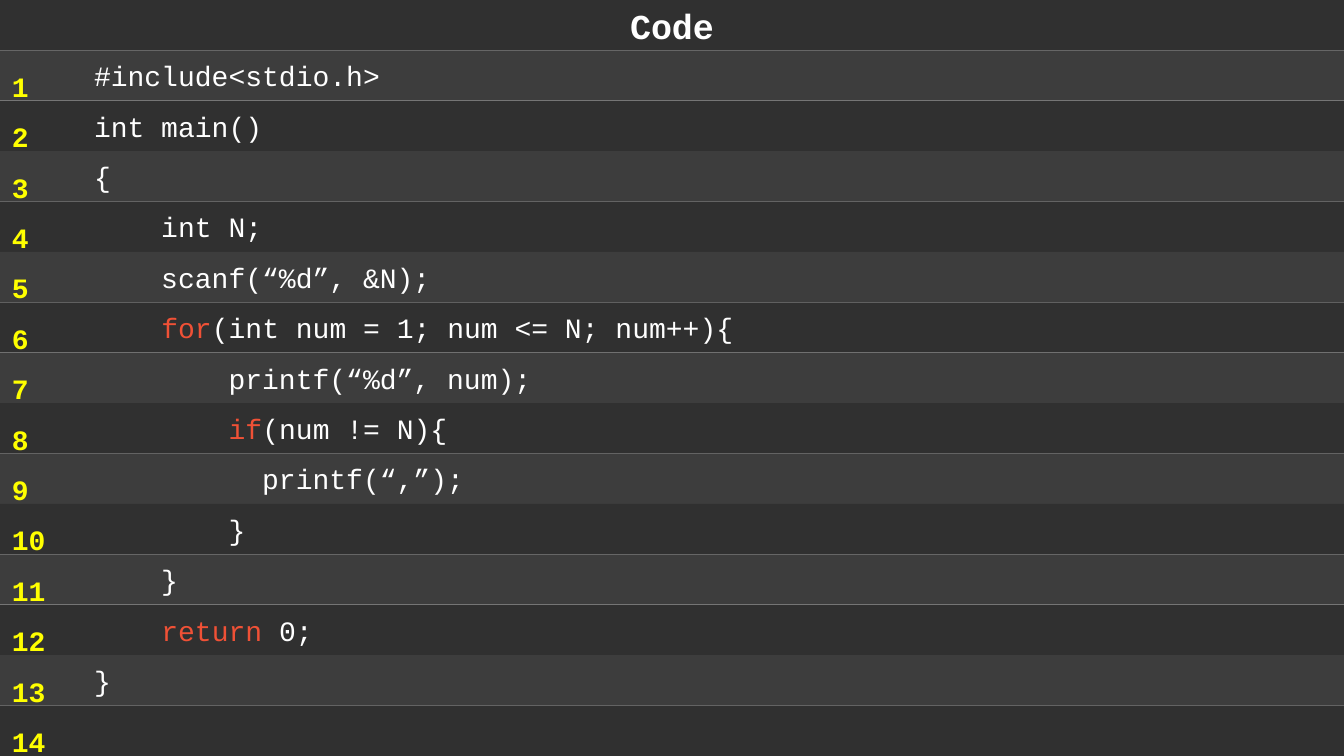
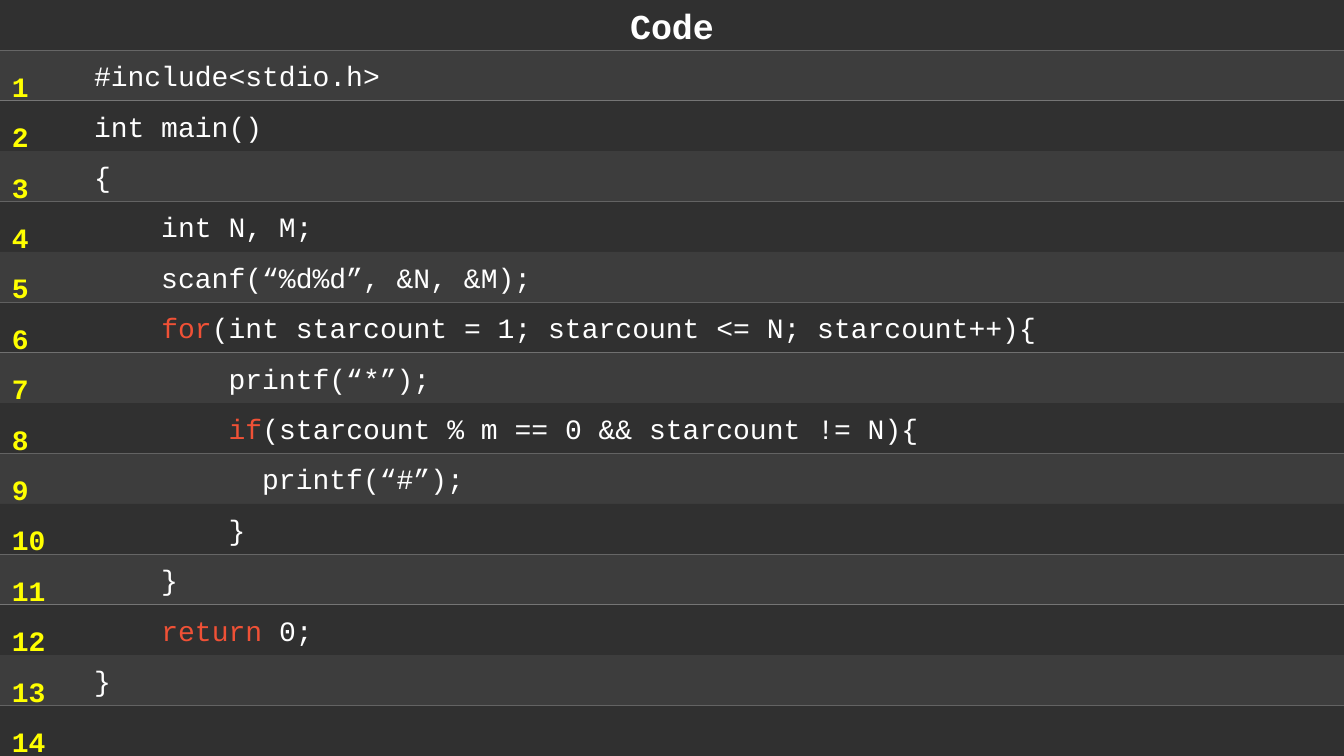
from pptx import Presentation
from pptx.dml.color import RGBColor
from pptx.enum.shapes import MSO_SHAPE
from pptx.enum.text import MSO_ANCHOR, MSO_AUTO_SIZE, PP_ALIGN
from pptx.util import Cm, Pt

RECTANGLE = MSO_SHAPE.RECTANGLE
MIDDLE = MSO_ANCHOR.MIDDLE
NO_AUTOFIT = MSO_AUTO_SIZE.NONE
LEFT, CENTER = PP_ALIGN.LEFT, PP_ALIGN.CENTER

TITLE = "Code"
OPENING = ["#include<stdio.h>", "int main()", "{"]
CLOSING = ["        }", "    }", "    return 0;", "}", ""]
BODIES = [
    [
        "    int N;",
        "    scanf(“%d”, &N);",
        "    for(int num = 1; num <= N; num++){",
        "        printf(“%d”, num);",
        "        if(num != N){",
        "          printf(“,”);",
    ],
    [
        "    int N, M;",
        "    scanf(“%d%d”, &N, &M);",
        "    for(int starcount = 1; starcount <= N; starcount++){",
        "        printf(“*”);",
        "        if(starcount % m == 0 && starcount != N){",
        "          printf(“#”);",
    ],
]
KEYWORDS = ("for", "if", "return")

FONT = "Courier New"
DARK, LIGHT = "303030", "3D3D3D"
WHITE, YELLOW, ORANGE = "FFFFFF", "FFFF00", "F05136"
SLIDE_WIDTH, SLIDE_HEIGHT = Cm(33.87), Cm(19.05)
ROW_HEIGHT = Cm(1.27)
CODE_INDENT = Cm(2.37)


def color(hex_code):
    return RGBColor.from_string(hex_code)


def write(paragraph, text, size=20, ink=WHITE, bold=False, align=LEFT):
    """Add a formatted run to the paragraph."""
    paragraph.alignment = align
    run = paragraph.add_run()
    run.text = text
    run.font.name = FONT
    run.font.size = Pt(size)
    run.font.bold = bold
    run.font.color.rgb = color(ink)


def fill_band(band, index):
    """Paint a band in the shade that alternates with its row index."""
    band.fill.solid()
    band.fill.fore_color.rgb = color(LIGHT if index % 2 else DARK)
    band.line.fill.background()


def add_title(slide):
    title = slide.shapes.title
    title.left, title.top = 0, 0
    title.width, title.height = SLIDE_WIDTH, ROW_HEIGHT
    fill_band(title, 0)
    frame = title.text_frame
    frame.auto_size = NO_AUTOFIT
    frame.vertical_anchor = MIDDLE
    write(frame.paragraphs[0], TITLE, size=25, bold=True, align=CENTER)


def split_keyword(line):
    """Return the (text, colour) parts of a line, its opening keyword apart."""
    code = line.lstrip()
    indent = line[:len(line) - len(code)]
    keyword = next((word for word in KEYWORDS if code.startswith(word)), "")
    if not keyword:
        return [(line, WHITE)]
    return [(indent, WHITE), (keyword, ORANGE), (code[len(keyword):], WHITE)]


def add_code_row(slide, index, line):
    row = slide.shapes.add_shape(
        RECTANGLE, 0, ROW_HEIGHT * index, SLIDE_WIDTH, ROW_HEIGHT)
    row.shadow.inherit = False
    fill_band(row, index)
    if line:
        frame = row.text_frame
        frame.vertical_anchor = MIDDLE
        frame.margin_left = CODE_INDENT
        for text, ink in split_keyword(line):
            write(frame.paragraphs[0], text, ink=ink)


def add_line_numbers(slide, count):
    numbers = slide.shapes.add_textbox(
        Cm(0.05), Cm(1.2), Cm(1.42), ROW_HEIGHT * count)
    frame = numbers.text_frame
    frame.word_wrap = True
    for number in range(1, count + 1):
        paragraph = frame.paragraphs[0] if number == 1 else frame.add_paragraph()
        paragraph.line_spacing = Pt(36)
        write(paragraph, str(number), ink=YELLOW, bold=True)


def main():
    deck = Presentation()
    deck.slide_width, deck.slide_height = SLIDE_WIDTH, SLIDE_HEIGHT
    title_only = deck.slide_layouts[5]
    for body in BODIES:
        slide = deck.slides.add_slide(title_only)
        add_title(slide)
        program = OPENING + body + CLOSING
        for index, line in enumerate(program, start=1):
            add_code_row(slide, index, line)
        add_line_numbers(slide, len(program))
    deck.save("out.pptx")


if __name__ == "__main__":
    main()
